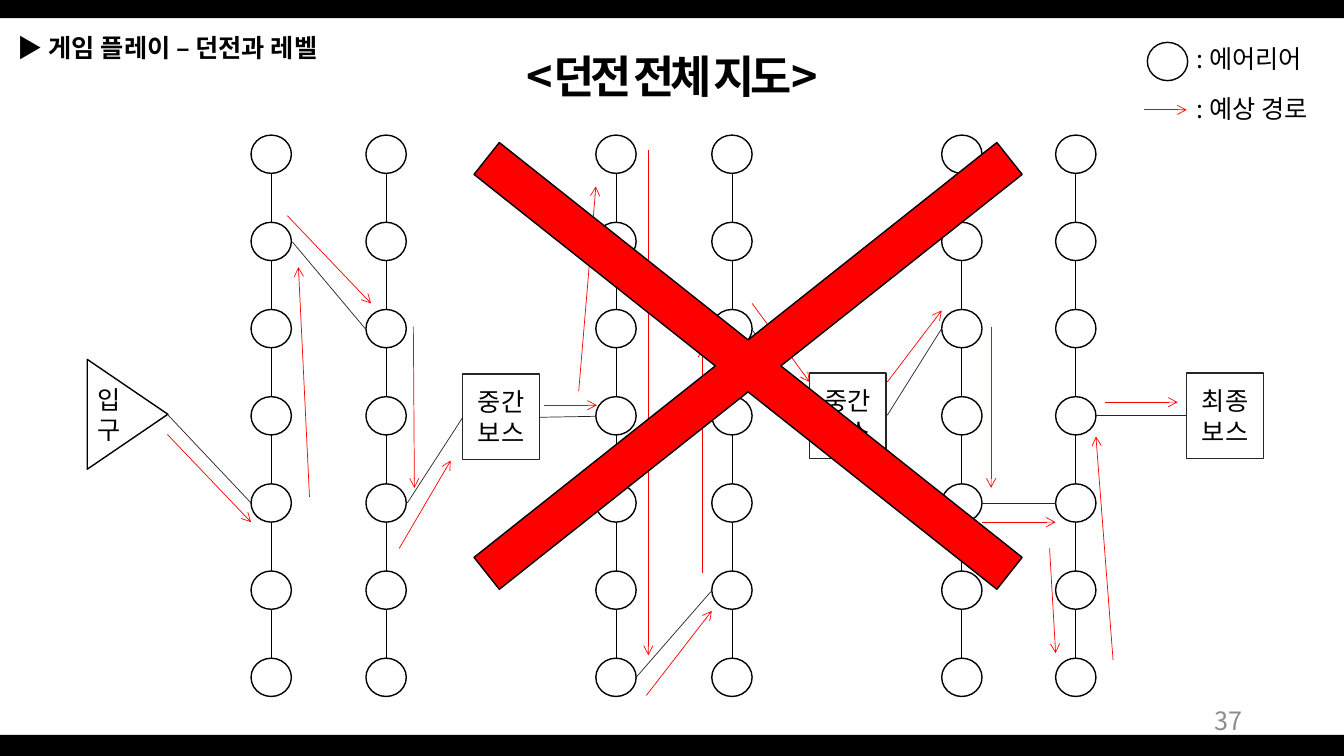
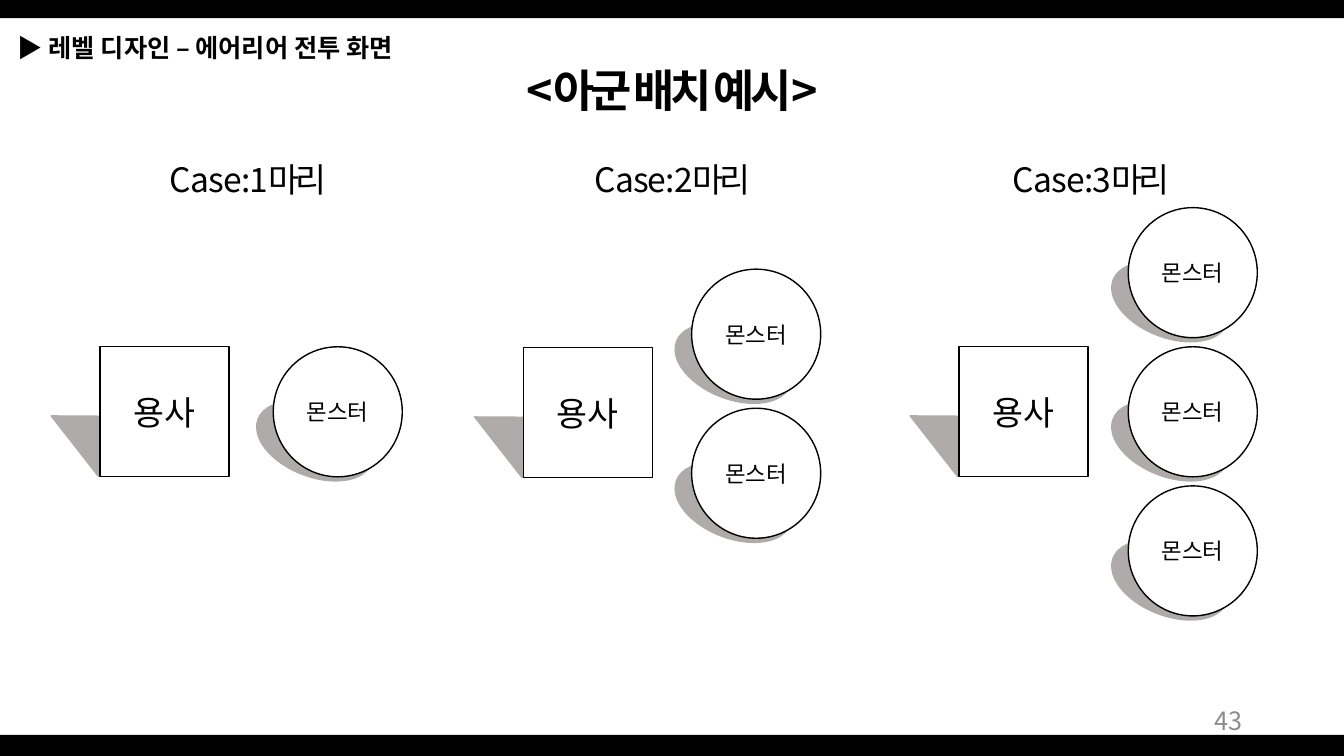
from lxml import etree
from pptx import Presentation
from pptx.dml.color import RGBColor
from pptx.enum.shapes import MSO_CONNECTOR as Connector, MSO_SHAPE as Shape
from pptx.enum.text import MSO_ANCHOR as Anchor, PP_ALIGN as Align
from pptx.oxml.ns import qn
from pptx.util import Inches, Pt

FONT = "Noto Sans CJK KR"
BLACK = RGBColor(0x00, 0x00, 0x00)
DARK = RGBColor(0x26, 0x26, 0x26)
WHITE = RGBColor(0xFF, 0xFF, 0xFF)
RED = RGBColor(0xFF, 0x00, 0x00)
SHADE = RGBColor(0xAF, 0xAB, 0xAB)
PAGE_GRAY = RGBColor(0x8C, 0x8C, 0x8C)

# Shared styles: font attributes, plus letter spacing in points under "spc"
BODY = {"size": Pt(18)}
STRONG = {"size": Pt(18), "bold": True}
TITLE = {"size": Pt(32), "bold": True, "spc": -3}
PAGE = {"size": Pt(18), "color": PAGE_GRAY}
HERO = {"size": Pt(24)}
MONSTER = {"size": Pt(16)}
CASE_LATIN = {"size": Pt(24), "spc": -0.6}
CASE_KOREAN = {"size": Pt(24), "spc": -3}

WIDTH, HEIGHT = 13.33, 7.5
BANDS = [(0, 0, WIDTH, 0.18), (0, 7.29, WIDTH, 0.22)]

# Dungeon map
MAP = {"heading": "게임 플레이 – 던전과 레벨", "title": "<던전 전체 지도>",
       "title_top": 0.43, "page": "37"}
AREA_COLUMNS = [2.49, 3.63, 5.91, 7.06, 9.34, 10.47]
AREA_TOP, AREA_PITCH, AREA_ROWS = 1.34, 0.865, 7
AREA_W, AREA_H = 0.4, 0.38
ROOM_W, ROOM_H = 0.76, 0.85
BOSS_ROOMS = [(4.59, 3.71, "중간"), (8.03, 3.7, "중간"), (11.77, 3.7, "최종")]
LINKS = [
    (2.9, 2.4, 3.63, 3.27), (4.04, 4.99, 4.59, 4.14), (5.35, 4.14, 5.91, 4.13),
    (6.3, 6.73, 7.05, 5.87), (7.46, 3.27, 8.03, 4.12), (9.34, 3.26, 8.8, 4.12),
    (10.47, 4.99, 9.73, 4.99), (11.77, 4.12, 10.87, 4.12), (1.66, 4.11, 2.49, 4.99),
]
ROUTE = [
    (1.66, 4.31, 2.49, 5.18), (3.07, 4.93, 2.96, 2.65), (2.85, 2.14, 3.68, 3.01),
    (4.1, 3.24, 4.11, 4.84), (3.96, 5.44, 4.47, 4.57), (5.4, 4.02, 5.92, 4.02),
    (5.74, 3.88, 5.91, 1.85), (6.43, 1.49, 6.43, 6.5), (6.41, 6.9, 7.06, 6.06),
    (6.97, 5.68, 6.97, 3.45), (7.46, 3.01, 8.03, 3.79), (8.8, 3.79, 9.34, 3.08),
    (9.83, 3.24, 9.83, 4.84), (9.74, 5.18, 10.47, 5.18), (10.41, 5.44, 10.47, 6.48),
    (11.04, 6.55, 10.87, 4.33), (10.96, 3.99, 11.68, 3.99),
]
LEGEND_AREA = (11.38, 0.42, AREA_W, AREA_H)
LEGEND_ROUTE = (11.35, 1.09, 11.77, 1.09)
LEGEND_LABELS = [(0.38, ": 에어리어"), (0.88, ": 예상 경로")]

# Party placement: label left, hero left and top, monster left, first top, count
PLACEMENT = {"heading": "레벨 디자인 – 에어리어 전투 화면", "title": "<아군 배치 예시>",
             "title_top": 0.57, "page": "43"}
CASES = [
    (0.61, 0.99, 3.44, 2.71, 3.44, 1),
    (4.82, 5.19, 3.45, 6.86, 2.67, 2),
    (8.97, 9.51, 3.44, 11.19, 2.06, 3),
]
UNIT_W, UNIT_H, MONSTER_PITCH = 1.28, 1.29, 1.38
MONSTER_SHADE_W, MONSTER_SHADE_H = 1.21, 0.71


def write(frame, paragraphs, align, anchor):
    """Each paragraph is a list of (text, style) pairs."""
    frame.word_wrap = True
    frame.vertical_anchor = anchor
    for index, parts in enumerate(paragraphs):
        paragraph = frame.add_paragraph() if index else frame.paragraphs[0]
        paragraph.alignment = align
        for text, style in parts:
            run = paragraph.add_run()
            run.text = text
            run.font.name = FONT
            run.font.color.rgb = style.get("color", BLACK)
            for name in ("size", "bold"):
                if name in style:
                    setattr(run.font, name, style[name])
            properties = run.font._element
            etree.SubElement(properties, qn("a:ea")).set("typeface", FONT)
            if "spc" in style:
                properties.set("spc", str(round(style["spc"] * 100)))


def add_text(slide, box, parts, align=Align.LEFT, anchor=Anchor.TOP):
    label = slide.shapes.add_textbox(*map(Inches, box))
    write(label.text_frame, [parts], align, anchor)


def add_block(slide, kind, box, fill=WHITE, line=BLACK, paragraphs=(), rotation=0, adjust=None):
    block = slide.shapes.add_shape(kind, *map(Inches, box))
    block.shadow.inherit = False
    block.rotation = rotation
    block.fill.solid()
    block.fill.fore_color.rgb = fill
    if line is None:
        block.line.fill.background()
    else:
        block.line.color.rgb = line
        block.line.width = Pt(1)
    if adjust is not None:
        block.adjustments[0] = adjust
    if paragraphs:
        write(block.text_frame, paragraphs, Align.CENTER, Anchor.MIDDLE)
    return block


def add_line(slide, ends, color, arrow=False):
    line = slide.shapes.add_connector(Connector.STRAIGHT, *map(Inches, ends))
    line.line.color.rgb = color
    line.line.width = Pt(0.5)
    if arrow:
        etree.SubElement(line.line._get_or_add_ln(), qn("a:tailEnd")).set("type", "arrow")
    etree.SubElement(line._element.spPr, qn("a:effectLst"))


def add_frame(slide, content):
    """Bands, heading, title and page number."""
    for band in BANDS:
        add_block(slide, Shape.RECTANGLE, band, BLACK, None)
    add_text(slide, (0.08, 0.27, 4.7, 0.4), [("▶ ", BODY), (content["heading"], STRONG)])
    add_text(slide, (4.49, content["title_top"], 4.36, 0.64),
             [(content["title"], TITLE)], Align.CENTER)
    add_text(slide, (9.42, 6.95, 3, 0.4), [(content["page"], PAGE)], Align.RIGHT, Anchor.MIDDLE)


def build_map(slide):
    # Columns of areas, each strung on a line
    for left in AREA_COLUMNS:
        center = left + AREA_W / 2
        bottom = AREA_TOP + AREA_PITCH * (AREA_ROWS - 1)
        add_line(slide, (center, AREA_TOP + AREA_H, center, bottom), BLACK)
        for row in range(AREA_ROWS):
            add_block(slide, Shape.OVAL, (left, AREA_TOP + row * AREA_PITCH, AREA_W, AREA_H))
    add_frame(slide, MAP)

    # Entrance and boss rooms
    entrance = add_block(slide, Shape.ISOSCELES_TRIANGLE, (0.72, 3.71, 1.09, 0.8),
                         paragraphs=[[("입구", BODY)]], rotation=90)
    entrance.text_frame._txBody.bodyPr.set("vert", "vert270")
    for left, top, rank in BOSS_ROOMS:
        add_block(slide, Shape.RECTANGLE, (left, top, ROOM_W, ROOM_H), line=DARK,
                  paragraphs=[[(rank, BODY)], [("보스", BODY)]])

    # Links, expected route and legend
    for ends in LINKS:
        add_line(slide, ends, DARK)
    for ends in ROUTE + [LEGEND_ROUTE]:
        add_line(slide, ends, RED, arrow=True)
    add_block(slide, Shape.OVAL, LEGEND_AREA)
    for top, text in LEGEND_LABELS:
        add_text(slide, (11.77, top, 1.56, 0.4), [(text, BODY)])

    # Large cross over the map
    add_block(slide, Shape.MATH_MULTIPLY, (2.43, -0.33, 9.98, 7.92), RED, adjust=0.051)


def build_placement(slide):
    add_frame(slide, PLACEMENT)
    for label_left, hero_left, hero_top, monster_left, first_top, count in CASES:
        add_text(slide, (label_left, 1.53, 3.7, 0.5),
                 [(f"Case:{count}", CASE_LATIN), ("마리", CASE_KOREAN)], Align.CENTER)

        # Hero with its cast shade
        add_block(slide, Shape.ISOSCELES_TRIANGLE,
                  (hero_left - 0.35, hero_top + 0.31, 0.96, 0.76),
                  SHADE, SHADE, rotation=322, adjust=0)
        add_block(slide, Shape.RECTANGLE, (hero_left, hero_top, UNIT_W, UNIT_H),
                  paragraphs=[[("용사", HERO)]])

        # Monsters, stacked at an equal pitch
        for index in range(count):
            top = first_top + index * MONSTER_PITCH
            shade_top = top + UNIT_H - MONSTER_SHADE_H
            add_block(slide, Shape.OVAL,
                      (monster_left - 0.19, shade_top, MONSTER_SHADE_W, MONSTER_SHADE_H),
                      SHADE, SHADE, rotation=21.1)
            add_block(slide, Shape.OVAL, (monster_left, top, UNIT_W, UNIT_H),
                      paragraphs=[[("몬스터", MONSTER)]])


def main():
    deck = Presentation()
    deck.slide_width, deck.slide_height = Inches(WIDTH), Inches(HEIGHT)
    for build in (build_map, build_placement):
        build(deck.slides.add_slide(deck.slide_layouts[6]))
    deck.save("out.pptx")


if __name__ == "__main__":
    main()
